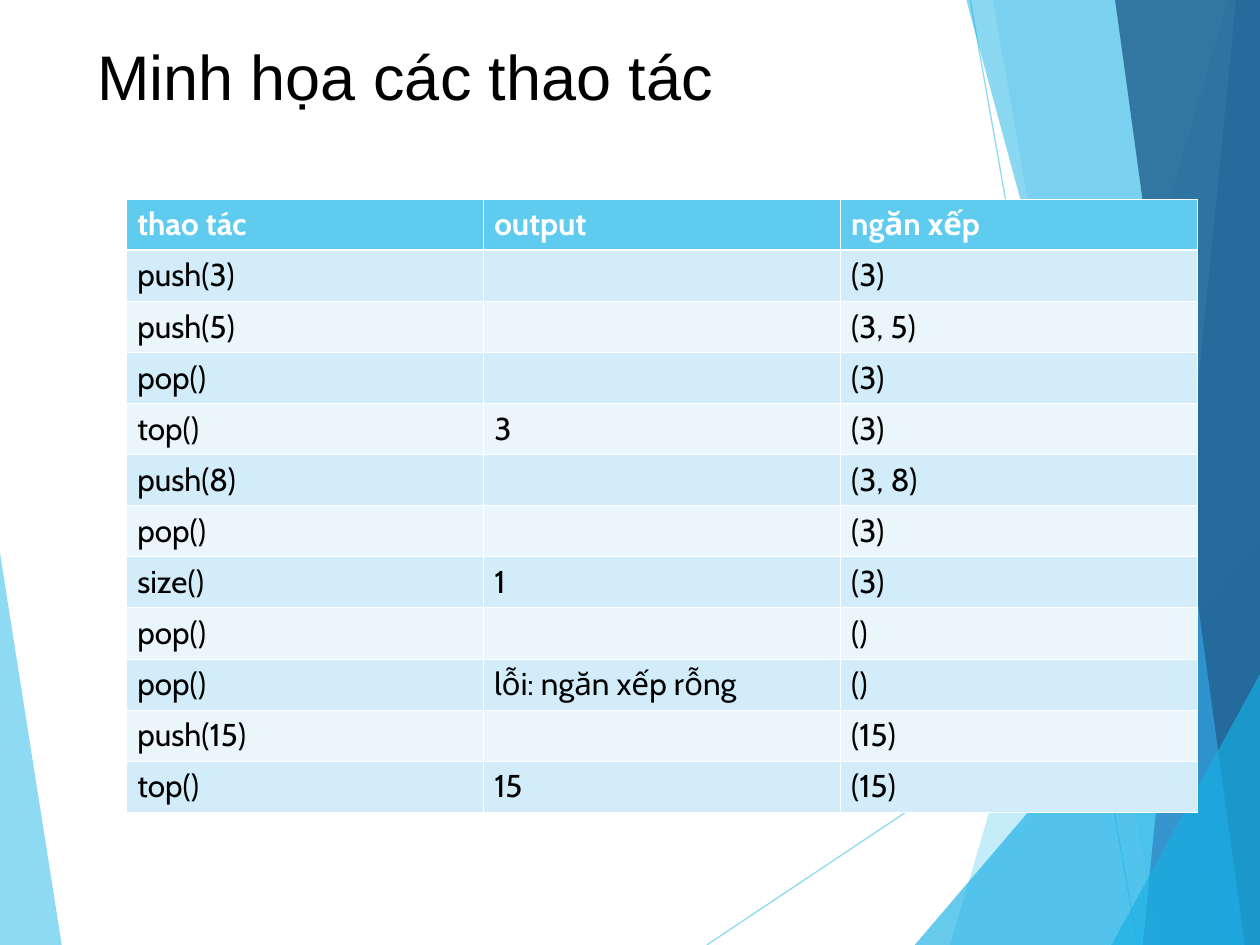
"""Build a slide with a table of stack operations over a faceted blue backdrop."""
from lxml.etree import SubElement
from pptx import Presentation
from pptx.dml.color import RGBColor as RGB
from pptx.enum.text import MSO_ANCHOR as Anchor, MSO_AUTO_SIZE as Fit, PP_ALIGN as Align
from pptx.oxml import parse_xml
from pptx.oxml.ns import nsdecls, qn
from pptx.util import Inches, Pt

HUES = {"sky": "5FCBEF", "cyan": "17B0E4", "blue": "2E83C3", "navy": "236292",
        "pale": "D2ECF9", "mist": "EAF6FC", "white": "FFFFFF", "black": "000000"}


def write(frame, text, font="Cabin", size=18, hue="black", bold=False):
    para = frame.paragraphs[0]
    para.alignment = Align.LEFT
    run = para.add_run()
    run.text = text
    run.font.name, run.font.size, run.font.bold = font, Pt(size), bold
    run.font.color.rgb = RGB.from_string(HUES[hue])


def fade(fill, hue, alpha):
    fill.solid()
    fill.fore_color.rgb = RGB.from_string(HUES[hue])
    color = fill._xPr.find(".//" + qn("a:srgbClr"))
    SubElement(color, qn("a:alpha")).set("val", str(alpha * 1000))


deck = Presentation()
deck.slide_width, deck.slide_height = Inches(10), Inches(7.5)
slide = deck.slides.add_slide(deck.slide_layouts[5])
shapes = slide.shapes

rays = [(5.61, 7.5, 10, 4.57), (7.7, 0, 9.03, 7.5)]
for ray in rays:
    line = shapes.add_connector(1, *[Inches(v) for v in ray])
    line.line.width = Pt(0.75)
    fade(line.line.fill, "sky", 70)
    SubElement(line.element.spPr, qn("a:effectLst"))

facets = [
    ("sky", 70, [(0, 4.39), (0.49, 7.5), (0, 7.5)]),
    ("sky", 36, [(9.75, 0), (7.54, 7.5), (10, 7.5), (10, 0)]),
    ("sky", 20, [(7.88, 0), (9.19, 7.5), (10, 7.5), (10, 0)]),
    ("cyan", 66, [(7.26, 7.5), (10, 4.29), (10, 7.5)]),
    ("cyan", 50, [(7.67, 0), (9.7, 7.5), (10, 7.5), (10, 0)]),
    ("blue", 70, [(9.81, 0), (9.07, 7.5), (10, 7.5), (10, 0)]),
    ("navy", 82, [(8.85, 0), (9.88, 7.5), (10, 7.5), (10, 0)]),
    ("cyan", 66, [(8.82, 7.5), (10, 5.35), (10, 7.5)]),
]
for hue, alpha, points in facets:
    spots = [(Inches(x), Inches(y)) for x, y in points]
    pen = shapes.build_freeform(*spots[0])
    pen.add_line_segments(spots[1:], close=True)
    facet = pen.convert_to_shape()
    facet.shadow.inherit = False
    facet.line.fill.background()
    fade(facet.fill, hue, alpha)

title = shapes.title
shapes.element.append(title.element)
title.left, title.top = Inches(0.67), Inches(0.25)
title.width, title.height = Inches(6.94), Inches(1.44)
title.text_frame.auto_size = Fit.NONE
title.text_frame.vertical_anchor = Anchor.TOP
write(title.text_frame, "Minh họa các thao tác", font="Arial", size=36)

rows = [
    ("thao tác", "output", "ngăn xếp"),
    ("push(3)", "", "(3)"),
    ("push(5)", "", "(3, 5)"),
    ("pop()", "", "(3)"),
    ("top()", "3", "(3)"),
    ("push(8)", "", "(3, 8)"),
    ("pop()", "", "(3)"),
    ("size()", "1", "(3)"),
    ("pop()", "", "()"),
    ("pop()", "lỗi: ngăn xếp rỗng", "()"),
    ("push(15)", "", "(15)"),
    ("top()", "15", "(15)"),
]
grid = shapes.add_table(len(rows), 3, Inches(1), Inches(1.58),
                        Inches(8.5), Inches(4.87)).table
for r, row in enumerate(rows):
    head = r == 0
    band = "sky" if head else ("pale" if r % 2 else "mist")
    for c, text in enumerate(row):
        cell = grid.cell(r, c)
        cell.margin_left = cell.margin_right = Inches(0.09)
        cell.margin_top = cell.margin_bottom = Inches(0.05)
        cell.fill.solid()
        cell.fill.fore_color.rgb = RGB.from_string(HUES[band])
        if text:
            write(cell.text_frame, text, hue="white" if head else "black", bold=head)
        props = cell._tc.get_or_add_tcPr()
        for i, side in enumerate("LRTB"):
            thick = (r, side) in [(0, "B"), (1, "T")]
            width = Pt(1.47 if thick else 0.45)
            props.insert(i, parse_xml(
                f'<a:ln{side} {nsdecls("a")} w="{width}"><a:solidFill>'
                f'<a:srgbClr val="{HUES["white"]}"/></a:solidFill></a:ln{side}>'))

deck.save("out.pptx")
